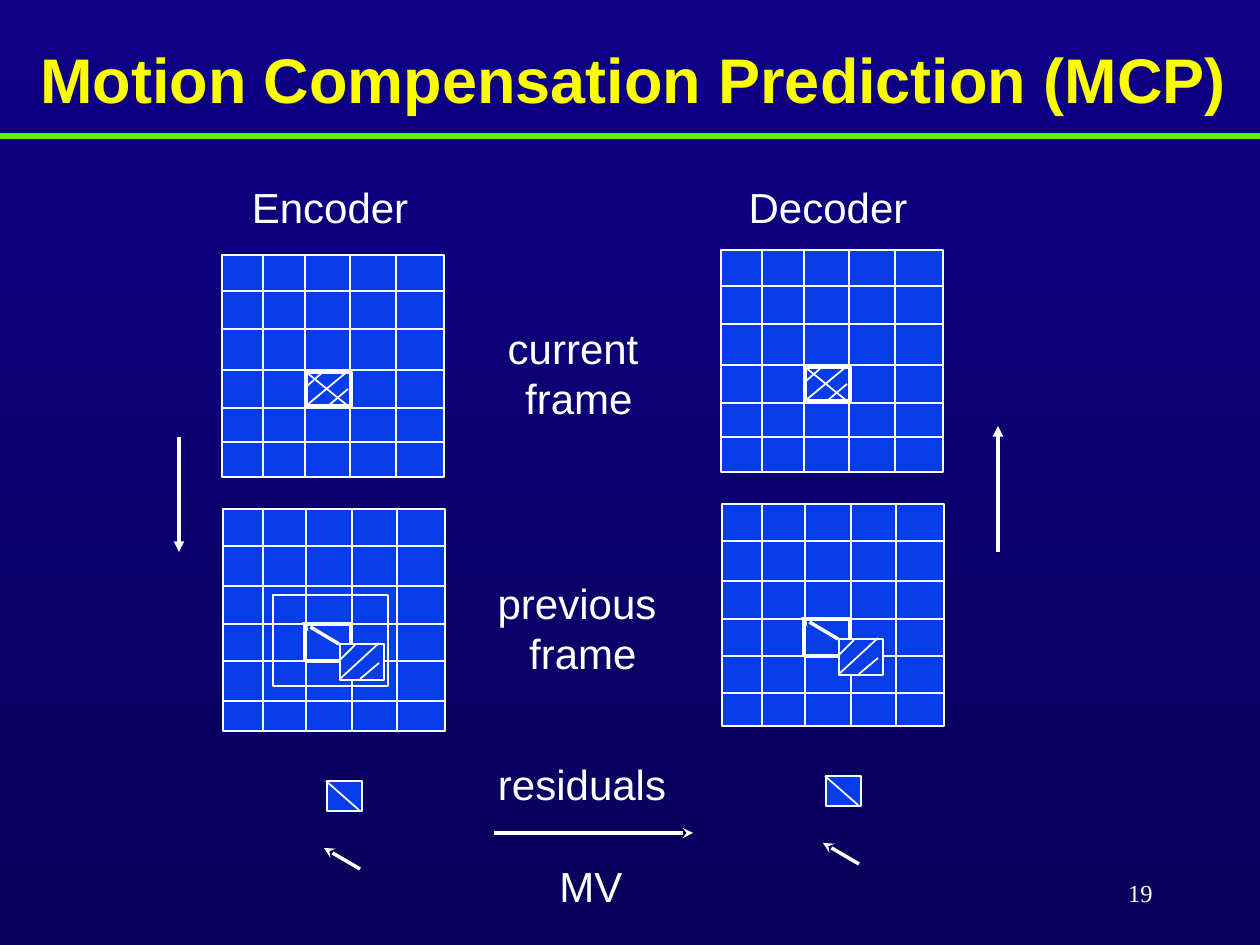
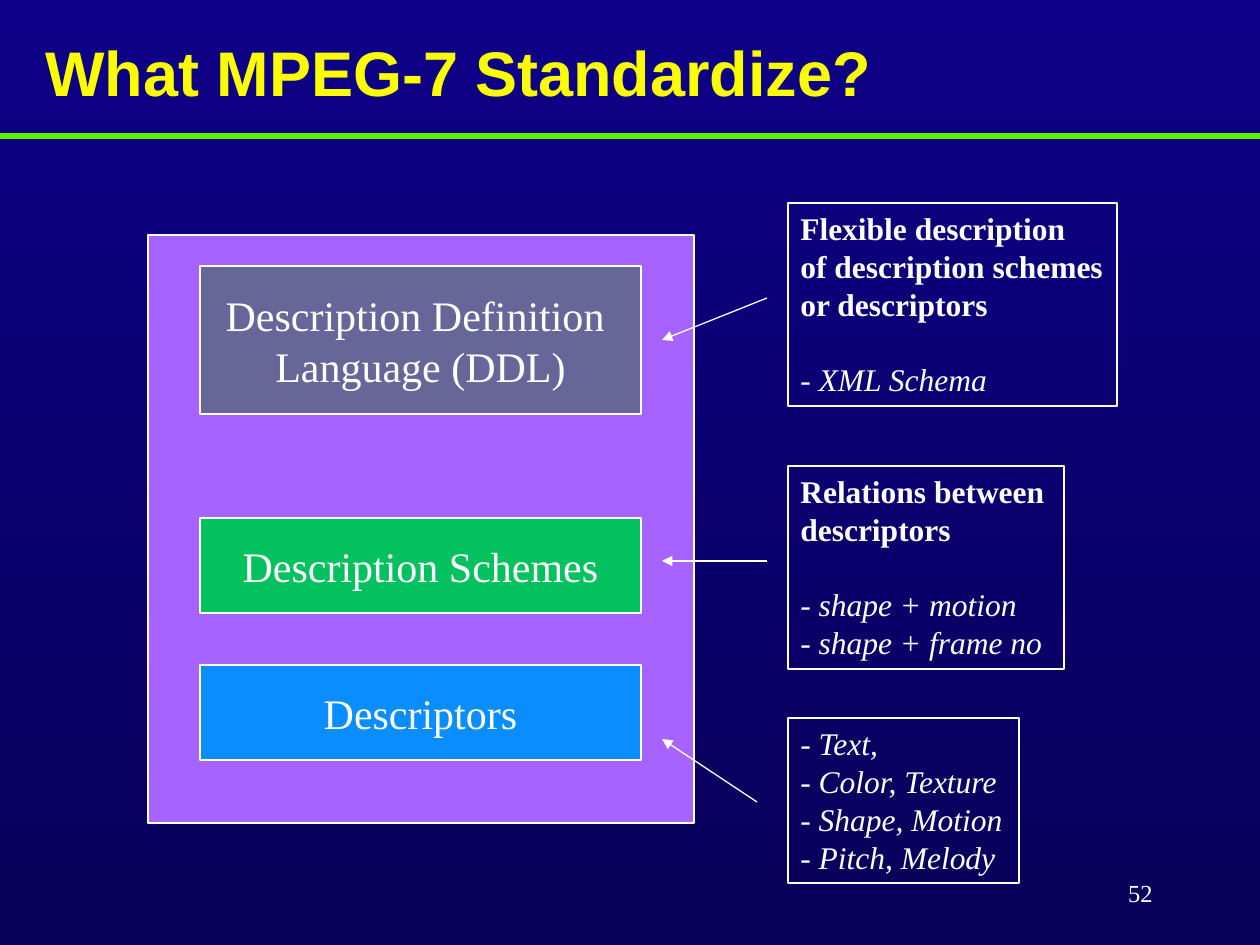
from itertools import pairwise

from lxml import etree
from pptx import Presentation
from pptx import util as u
from pptx.dml.color import RGBColor
from pptx.enum import shapes, text
from pptx.oxml.ns import qn

PX = 914400 / 126
SLIDE_SIZE = (1260, 945)
COLORS = {
    "sky": "0D0086", "deep": "090059", "rule": "5AF400", "title": "FAFD00",
    "white": "FFFFFF", "frame": "063DE8", "panel": "A763FF",
    "slate": "666699", "green": "03C15E", "azure": "098DFF",
}
SANS, SERIF = "Arial", "Times New Roman"

# Motion compensation: encoder coordinates, the decoder is the same shifted
SIDES = [
    {"name": "Encoder", "shift": (0, 0), "last_row": 701, "window": (273, 595, 115, 91)},
    {"name": "Decoder", "shift": (499, -5), "last_row": 698, "window": None},
]
SIDE_LABEL_BOXES = {"Encoder": (239, 175, 182, 63), "Decoder": (736, 175, 184, 63)}
CURRENT = {"box": (222, 255, 222, 222),
           "rows": [291, 329, 370, 408, 442], "columns": [263, 305, 350, 396]}
PREVIOUS = {"box": (223, 509, 222, 222),
            "rows": [546, 586, 624, 661], "columns": [263, 306, 352, 397]}
CURRENT_BLOCK = (306, 372, 45, 34)
CURRENT_HATCH = [(323, 372, 306, 387), (348, 371, 306, 406),
                 (348, 389, 328, 406), (306, 372, 348, 406)]
MATCHED_BLOCK = (340, 644, 44, 36)
MATCHED_HATCH = [(355, 645, 340, 660), (379, 643, 340, 679), (379, 663, 360, 679)]
TARGET_OUTLINE = [(339, 661), (305, 661), (305, 624), (351, 624), (351, 644)]
RESIDUAL_BLOCK = (327, 781, 35, 30)
RESIDUAL_HATCH = [(326, 781, 359, 810)]
MOTION_VECTORS = [(339, 644, 302, 622), (360, 869, 324, 848)]
FLOW_ARROWS = [
    ((179, 437, 179, 552), "triangle"),
    ((998, 552, 998, 426), "triangle"),
    ((494, 833, 693, 833), "stealth"),
]
MIDDLE_LABELS = [
    (["current", " frame"], (495, 316, 156, 113)),
    (["previous", " frame"], (485, 571, 184, 113)),
    (["residuals"], (485, 752, 194, 63)),
    (["MV"], (547, 854, 88, 63)),
]

# MPEG-7 layers with their notes
PANEL = (148, 235, 546, 588)
LAYER_LEFT, LAYER_WIDTH, NOTE_LEFT = 200, 441, 788
LAYERS = [
    {"lines": ["Description Definition ", "Language (DDL)"], "color": "slate",
     "top": 266, "height": 148, "arrow": (767, 298, 662, 340),
     "note_box": (203, 329, 203),
     "heading": ["Flexible description", "of description schemes", "or descriptors"],
     "items": ["- XML Schema"]},
    {"lines": ["Description Schemes"], "color": "green",
     "top": 518, "height": 95, "arrow": (767, 561, 662, 561),
     "note_box": (466, 276, 203),
     "heading": ["Relations between", "descriptors"],
     "items": ["- shape + motion", "- shape + frame no"]},
    {"lines": ["Descriptors"], "color": "azure",
     "top": 665, "height": 95, "arrow": (757, 802, 662, 739),
     "note_box": (718, 231, 165),
     "heading": [],
     "items": ["- Text,", "- Color, Texture", "- Shape, Motion", "- Pitch, Melody"]},
]


def rgb(name):
    return RGBColor.from_string(COLORS[name])


def emu(lengths):
    return [round(length * PX) for length in lengths]


def add_line(slide, ends, width=1, color="white", arrow=None):
    connector = slide.shapes.add_connector(shapes.MSO_CONNECTOR.STRAIGHT, *emu(ends))
    connector.line.color.rgb = rgb(color)
    connector.line.width = u.Pt(width)
    properties = connector._element.spPr
    if arrow:
        etree.SubElement(properties.find(qn("a:ln")), qn("a:tailEnd"), type=arrow)
    etree.SubElement(properties, qn("a:effectLst"))


def add_box(slide, box, fill=None, width=1):
    shape = slide.shapes.add_shape(shapes.MSO_SHAPE.RECTANGLE, *emu(box))
    shape.shadow.inherit = False
    if fill:
        shape.fill.solid()
        shape.fill.fore_color.rgb = rgb(fill)
    else:
        shape.fill.background()
    shape.line.color.rgb = rgb("white")
    shape.line.width = u.Pt(width)
    return shape


def write(shape, lines, size, font, color="white", align="CENTER", anchor="MIDDLE", wrap=False):
    """Fill a shape with one paragraph per line and return the paragraphs."""
    frame = shape.text_frame
    frame.word_wrap = wrap
    frame.vertical_anchor = text.MSO_ANCHOR[anchor]
    frame.text = "\n".join(lines)
    for paragraph in frame.paragraphs:
        paragraph.alignment = text.PP_ALIGN[align]
        paragraph.font.size = u.Pt(size)
        paragraph.font.name = font
        paragraph.font.color.rgb = rgb(color)
    return frame.paragraphs


def add_text(slide, box, lines, size, font, **style):
    return write(slide.shapes.add_textbox(*emu(box)), lines, size, font, **style)


def add_slide(presentation, title, title_box, number, spacing=1.0):
    slide = presentation.slides.add_slide(presentation.slide_layouts[6])
    fill = slide.background.fill
    fill.gradient()
    fill.gradient_angle = 270
    for stop, color in zip(fill.gradient_stops, ("sky", "deep")):
        stop.color.rgb = rgb(color)
    add_line(slide, (0, 136, SLIDE_SIZE[0], 136), 3, "rule")
    heading, = add_text(slide, title_box, [title], 36, SANS,
                        color="title", align="LEFT", wrap=True)
    heading.font.bold = True
    heading.line_spacing = spacing
    add_text(slide, (903, 861, 262, 63), [str(number)], 14, SERIF, align="RIGHT", wrap=True)
    return slide


def add_side(slide, side):
    """Draw the frames, blocks and vectors of the encoder or the decoder."""
    dx, dy = side["shift"]

    def box(area, fill="frame", width=1):
        x, y, w, h = area
        add_box(slide, (x + dx, y + dy, w, h), fill, width)

    def lines(segments, **style):
        for x1, y1, x2, y2 in segments:
            add_line(slide, (x1 + dx, y1 + dy, x2 + dx, y2 + dy), **style)

    def grid(frame, extra_rows=()):
        x, y, w, h = frame["box"]
        box(frame["box"])
        lines((x, row, x + w, row) for row in [*frame["rows"], *extra_rows])
        lines((column, y, column, y + h) for column in frame["columns"])

    grid(CURRENT)
    box(CURRENT_BLOCK, width=2)
    lines(CURRENT_HATCH)
    grid(PREVIOUS, [side["last_row"]])
    if side["window"]:
        box(side["window"], fill=None)
    box(MATCHED_BLOCK)
    lines(MATCHED_HATCH)
    lines((start + end for start, end in pairwise(TARGET_OUTLINE)), width=2)
    box(RESIDUAL_BLOCK)
    lines(RESIDUAL_HATCH)
    lines(MOTION_VECTORS, width=2, arrow="stealth")
    add_text(slide, SIDE_LABEL_BOXES[side["name"]], [side["name"]], 24, SANS, anchor="TOP")


def add_motion_slide(presentation):
    slide = add_slide(presentation, "Motion Compensation Prediction (MCP)",
                      (28, 34, 1232, 88), 19)
    for side in SIDES:
        add_side(slide, side)
    for ends, arrow in FLOW_ARROWS:
        add_line(slide, ends, 2, arrow=arrow)
    for lines, box in MIDDLE_LABELS:
        add_text(slide, box, lines, 24, SANS, anchor="TOP")


def add_note(slide, layer):
    top, width, height = layer["note_box"]
    shape = add_box(slide, (NOTE_LEFT, top, width, height), width=0.75)
    heading_count = len(layer["heading"])
    paragraphs = write(shape, layer["heading"] + layer["items"], 18, SERIF,
                       align="LEFT", anchor="TOP")
    for index, paragraph in enumerate(paragraphs):
        paragraph.font.bold = index < heading_count
        paragraph.font.italic = index >= heading_count
    if heading_count:
        paragraphs[heading_count].space_before = u.Pt(21.5)


def add_layers_slide(presentation):
    slide = add_slide(presentation, "What MPEG-7 Standardize?",
                      (33, 39, 1192, 74), 52, spacing=0.9)
    add_box(slide, PANEL, "panel", 0.75)
    for layer in LAYERS:
        box = (LAYER_LEFT, layer["top"], LAYER_WIDTH, layer["height"])
        write(add_box(slide, box, layer["color"], 0.75), layer["lines"], 24, SERIF)
        add_note(slide, layer)
        add_line(slide, layer["arrow"], 0.75, arrow="triangle")


def main():
    presentation = Presentation()
    presentation.slide_width, presentation.slide_height = emu(SLIDE_SIZE)
    add_motion_slide(presentation)
    add_layers_slide(presentation)
    presentation.save("out.pptx")


if __name__ == "__main__":
    main()
